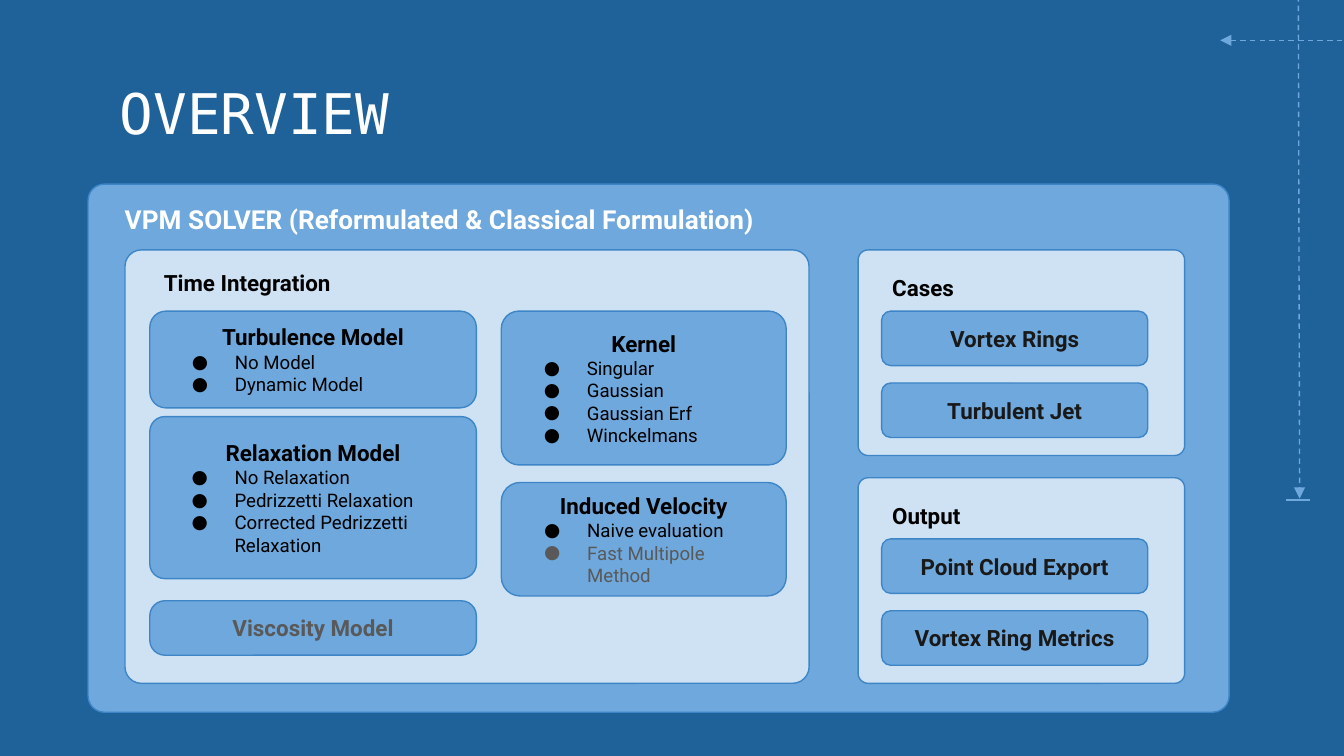
from dataclasses import dataclass

from lxml.etree import SubElement
from pptx import Presentation
from pptx.dml.color import RGBColor
from pptx.enum.dml import MSO_LINE
from pptx.enum.shapes import MSO_CONNECTOR, MSO_SHAPE
from pptx.enum.text import MSO_ANCHOR, MSO_AUTO_SIZE, PP_ALIGN
from pptx.oxml.ns import qn
from pptx.util import Emu, Pt

EMU_PER_PX = 4572  # 200 px to the inch

COLORS = {
    "background": "1F6299",
    "block": "6FA8DC",
    "panel": "CFE2F3",
    "outline": "3D85C6",
    "white": "FFFFFF",
    "black": "000000",
    "ink": "191919",
    "muted": "595959",
}


@dataclass(frozen=True)
class Area:
    left: int
    top: int
    width: int
    height: int

    def emu(self) -> list[Emu]:
        return [px(n) for n in (self.left, self.top, self.width, self.height)]


@dataclass(frozen=True)
class Block:
    area: Area
    heading: str
    items: tuple[str, ...] = ()
    color: str = "black"
    corner: float = 0.167
    muted: tuple[str, ...] = ()


@dataclass(frozen=True)
class Guide:
    start: tuple[int, int]
    end: tuple[int, int]
    arrows: bool = True


@dataclass(frozen=True)
class Group:
    top: int
    heading: str
    members: tuple[str, ...]


GUIDES = (
    Guide((1932, -50), (1934, 742)),
    Guide((1816, 60), (2108, 60)),
    Guide((1950, 744), (1914, 744), arrows=False),
)

MODELS = (
    Block(Area(223, 463, 486, 144), "Turbulence Model", ("No Model", "Dynamic Model")),
    Block(Area(223, 620, 486, 241), "Relaxation Model",
          ("No Relaxation", "Pedrizzetti Relaxation", "Corrected Pedrizzetti Relaxation"),
          corner=0.092),
    Block(Area(223, 894, 486, 81), "Viscosity Model", color="muted", corner=0.276),
    Block(Area(746, 463, 424, 229), "Kernel",
          ("Singular", "Gaussian", "Gaussian Erf", "Winckelmans"), corner=0.115),
    Block(Area(746, 718, 424, 169), "Induced Velocity",
          ("Naive evaluation", "Fast Multipole Method"), muted=("Fast Multipole Method",)),
)

GROUPS = (
    Group(372, "Cases", ("Vortex Rings", "Turbulent Jet")),
    Group(711, "Output", ("Point Cloud Export", "Vortex Ring Metrics")),
)


def px(length: int) -> Emu:
    return Emu(length * EMU_PER_PX)


def rgb(name: str) -> RGBColor:
    return RGBColor.from_string(COLORS[name])


def set_frame(frame, anchor: MSO_ANCHOR) -> None:
    frame.word_wrap = True
    frame.auto_size = MSO_AUTO_SIZE.NONE
    frame.vertical_anchor = anchor
    frame.margin_left = frame.margin_right = px(20)
    frame.margin_top = frame.margin_bottom = px(20)


def write(para, text: str, size: int, color: str, bold: bool = False,
          align: PP_ALIGN = PP_ALIGN.LEFT, font: str = "Roboto") -> None:
    para.text = text
    para.alignment = align
    for span in para.runs:
        span.font.name = font
        span.font.size = Pt(size)
        span.font.bold = bold
        span.font.color.rgb = rgb(color)


def add_bullet(para, color: str) -> None:
    properties = para._p.get_or_add_pPr()
    properties.set("marL", str(px(100)))
    properties.set("indent", str(px(-64)))
    bullet_color = SubElement(properties, qn("a:buClr"))
    SubElement(bullet_color, qn("a:srgbClr"), val=COLORS[color])
    SubElement(properties, qn("a:buSzPts"), val="1000")
    SubElement(properties, qn("a:buFont"), typeface="Roboto")
    SubElement(properties, qn("a:buChar"), char="●")


def add_panel(page, area: Area, fill: str, corner: float):
    box = page.shapes.add_shape(MSO_SHAPE.ROUNDED_RECTANGLE, *area.emu())
    box.adjustments[0] = corner
    box.shadow.inherit = False
    box.fill.solid()
    box.fill.fore_color.rgb = rgb(fill)
    box.line.color.rgb = rgb("outline")
    box.line.width = Pt(0.75)
    return box


def add_block(page, block: Block) -> None:
    frame = add_panel(page, block.area, "block", block.corner).text_frame
    set_frame(frame, MSO_ANCHOR.MIDDLE)
    write(frame.paragraphs[0], block.heading, 12, block.color, True, PP_ALIGN.CENTER)
    for item in block.items:
        color = "muted" if item in block.muted else block.color
        para = frame.add_paragraph()
        add_bullet(para, color)
        write(para, item, 10, color)


def add_label(page, area: Area, text: str, size: int = 12, color: str = "black") -> None:
    frame = page.shapes.add_textbox(*area.emu()).text_frame
    set_frame(frame, MSO_ANCHOR.TOP)
    write(frame.paragraphs[0], text, size, color, True)


def add_guide(page, guide: Guide) -> None:
    ends = [px(n) for n in guide.start + guide.end]
    line = page.shapes.add_connector(MSO_CONNECTOR.STRAIGHT, *ends)
    line.line.color.rgb = rgb("block")
    line.line.width = Pt(0.75)
    if guide.arrows:
        line.line.dash_style = MSO_LINE.DASH
        outline = line.line._get_or_add_ln()
        for end in ("a:headEnd", "a:tailEnd"):
            SubElement(outline, qn(end), type="triangle")
    SubElement(line._element.spPr, qn("a:effectLst"))


def add_group(page, group: Group) -> None:
    add_panel(page, Area(1277, group.top, 486, 306), "panel", 0.049)
    add_label(page, Area(1308, group.top + 16, 424, 48), group.heading)
    for row, member in enumerate(group.members):
        area = Area(1312, group.top + 91 + 107 * row, 396, 81)
        add_block(page, Block(area, member, color="ink"))


def main() -> None:
    deck = Presentation()
    deck.slide_width, deck.slide_height = px(2000), px(1125)
    page = deck.slides.add_slide(deck.slide_layouts[5])
    page.background.fill.solid()
    page.background.fill.fore_color.rgb = rgb("background")

    # Corner guide lines
    for guide in GUIDES:
        add_guide(page, guide)

    # Title
    title = page.shapes.title
    title.left, title.top, title.width, title.height = Area(158, 97, 1686, 126).emu()
    set_frame(title.text_frame, MSO_ANCHOR.TOP)
    write(title.text_frame.paragraphs[0], "OVERVIEW", 30, "white", font="DejaVu Sans Mono")

    # Solver with its time integration models
    add_panel(page, Area(131, 274, 1698, 786), "block", 0.031)
    add_label(page, Area(166, 283, 1248, 64),
              "VPM SOLVER (Reformulated & Classical Formulation)", 14, "white")
    add_panel(page, Area(186, 372, 1018, 645), "panel", 0.038)
    add_label(page, Area(224, 381, 424, 48), "Time Integration")
    for model in MODELS:
        add_block(page, model)

    # Cases and output
    for group in GROUPS:
        add_group(page, group)

    deck.save("out.pptx")


if __name__ == "__main__":
    main()
